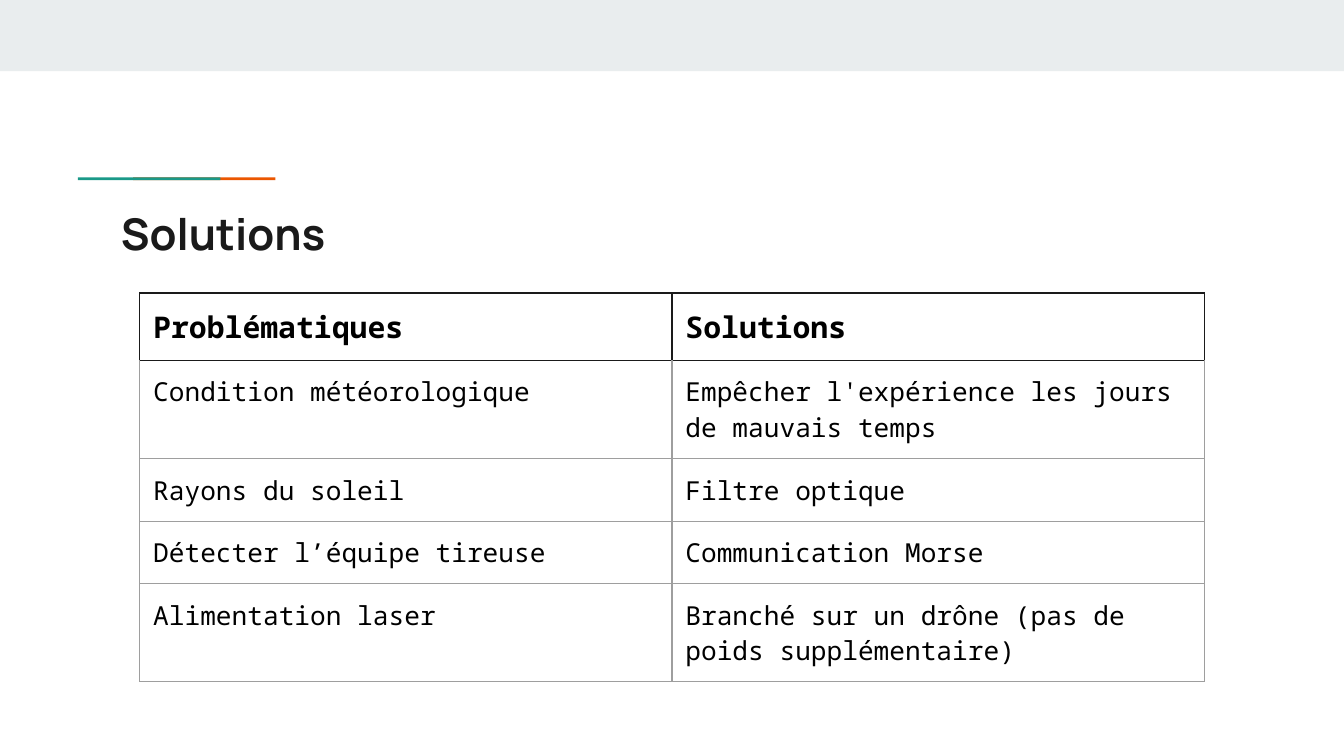
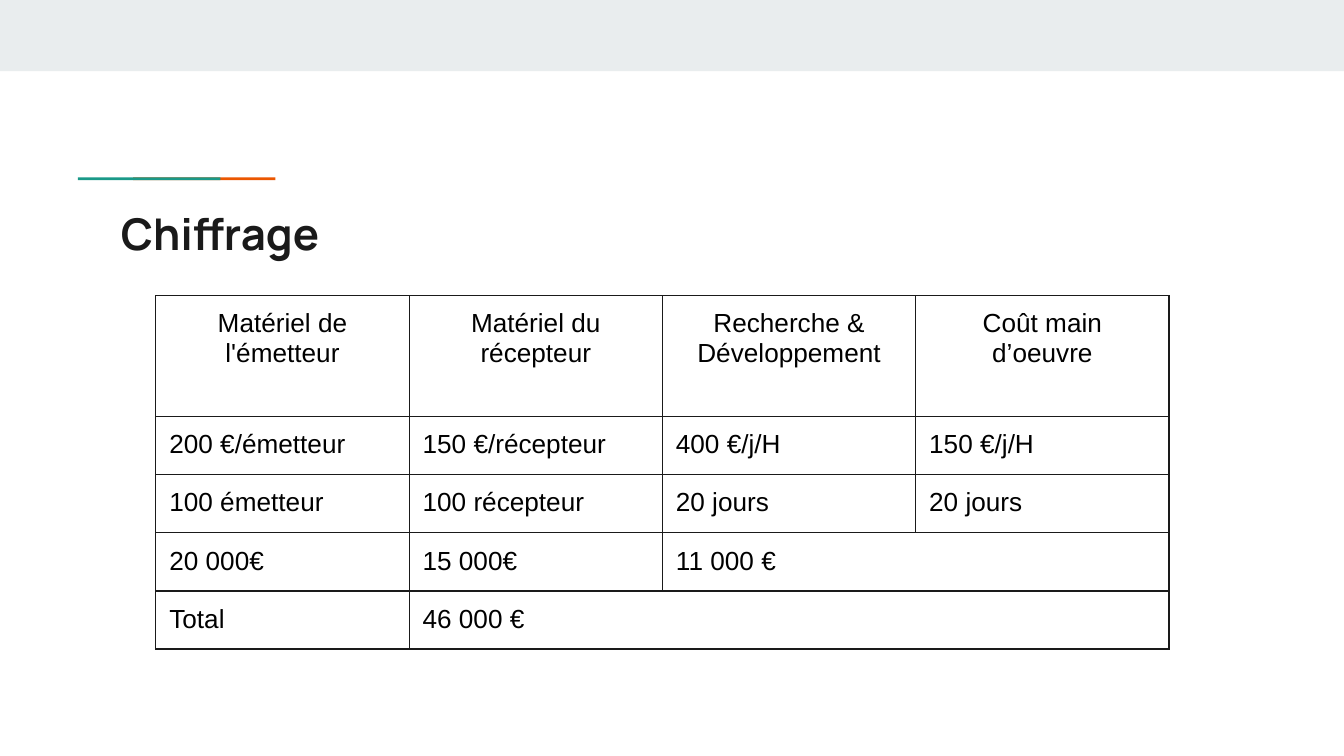
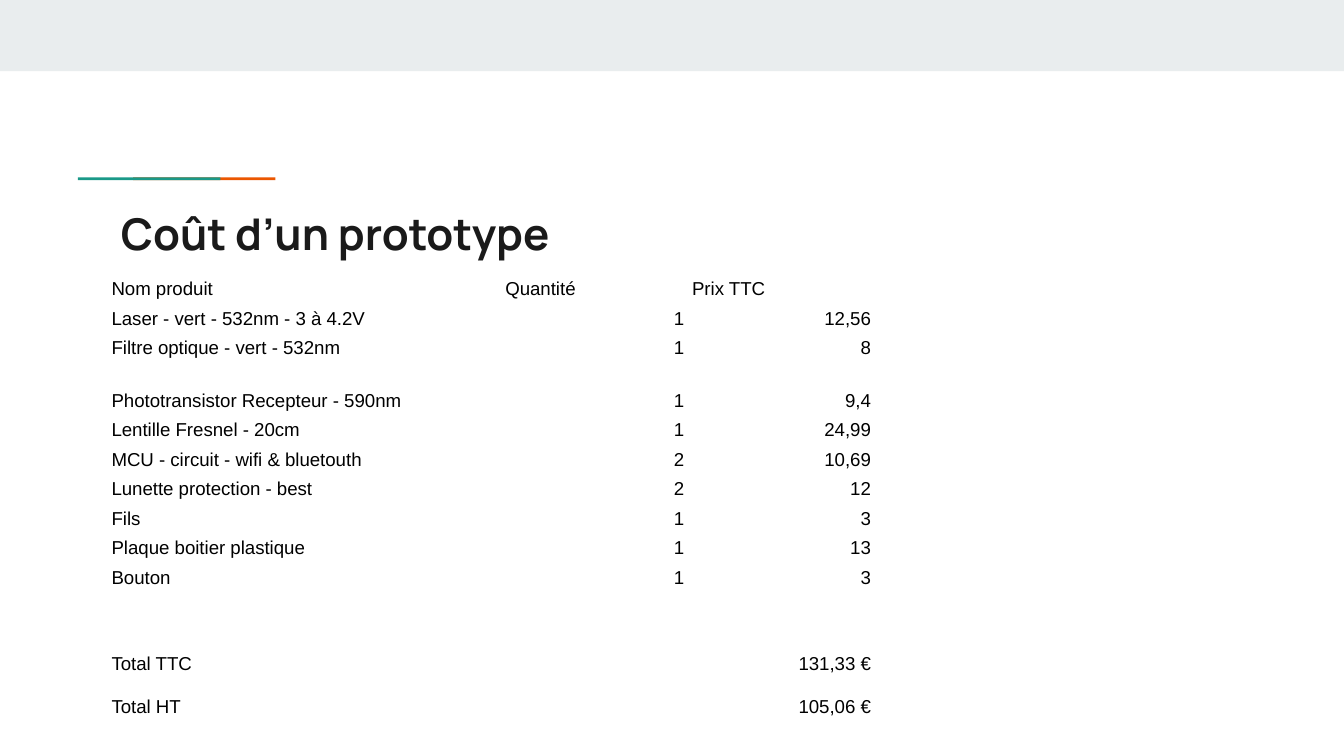
from lxml import etree
from pptx import Presentation
from pptx.dml.color import RGBColor
from pptx.enum.shapes import MSO_SHAPE
from pptx.enum.text import MSO_ANCHOR, MSO_AUTO_SIZE, PP_ALIGN
from pptx.oxml.ns import qn
from pptx.util import Inches, Pt

RECT = MSO_SHAPE.RECTANGLE
TOP, BOTTOM = MSO_ANCHOR.TOP, MSO_ANCHOR.BOTTOM
LEFT, CENTER, RIGHT = PP_ALIGN.LEFT, PP_ALIGN.CENTER, PP_ALIGN.RIGHT
NO_AUTOFIT = MSO_AUTO_SIZE.NONE

COLORS = {
    "band": "E9EDEE",
    "orange": "EB5600",
    "teal": "1A9988",
    "ink": "1A1A1A",
    "text": "000000",
    "grid": "9E9E9E",
}
PLAIN_TABLE = "{2D5ABB26-0587-4C30-8999-92F81FD0307C}"
SLIDE_BOX = (0, 0, 10, 10 * 9 / 16)
TITLE_BOX = (0.8, 1.44, 8.41, 0.59)
TITLE_FONT = {"name": "Manrope", "size": Pt(23.4), "bold": True}
MARGINS = ("margin_left", "margin_top", "margin_right", "margin_bottom")
WIDE_INSETS = dict.fromkeys(MARGINS, Inches(0.1))
TIGHT_INSETS = dict(zip(MARGINS, map(Inches, (0.03, 0.02, 0.03, 0.02))))

SOLUTIONS = [
    ("Problématiques", "Solutions"),
    ("Condition météorologique", "Empêcher l'expérience les jours de mauvais temps"),
    ("Rayons du soleil", "Filtre optique"),
    ("Détecter l’équipe tireuse", "Communication Morse"),
    ("Alimentation laser", "Branché sur un drône (pas de poids supplémentaire)"),
]
ESTIMATE = [
    ("Matériel de l'émetteur", "Matériel du récepteur",
     "Recherche & Développement", "Coût main d’oeuvre"),
    ("200 €/émetteur", "150 €/récepteur", "400 €/j/H", "150 €/j/H"),
    ("100 émetteur", "100 récepteur", "20 jours", "20 jours"),
    ("20 000€", "15 000€", "11 000 €", ""),
    ("Total", "46 000 €", "", ""),
]
PROTOTYPE = [
    ("Nom produit", "Quantité", "Prix TTC"),
    ("Laser - vert - 532nm - 3 à 4.2V", "1", "12,56"),
    ("Filtre optique - vert - 532nm", "1", "8"),
    ("Phototransistor Recepteur - 590nm", "1", "9,4"),
    ("Lentille Fresnel - 20cm", "1", "24,99"),
    ("MCU - circuit - wifi & bluetouth", "2", "10,69"),
    ("Lunette protection - best", "2", "12"),
    ("Fils", "1", "3"),
    ("Plaque boitier plastique", "1", "13"),
    ("Bouton", "1", "3"),
    ("", "", ""),
    ("Total TTC", "", "131,33 €"),
    ("Total HT", "", "105,06 €"),
]


def apply(target, values):
    for name, value in values.items():
        setattr(target, name, value)


def rgb(color):
    return RGBColor.from_string(COLORS[color])


def add_rect(slide, box, color):
    sp = slide.shapes.add_shape(RECT, *map(Inches, box))
    sp.shadow.inherit = False
    sp.fill.solid()
    sp.fill.fore_color.rgb = rgb(color)
    sp.line.fill.background()
    return sp


def move_decor_to_layout(slide, box):
    layout = slide.slide_layout
    for ph in list(layout.placeholders)[1:]:
        ph.element.getparent().remove(ph.element)
    x, y, w, _ = box
    decor = [
        ((x, y, w, 0.53), "band"),
        ((x + 0.99, y + 1.32, 1.06, 0.02), "orange"),
        ((x + 0.58, y + 1.32, 1.06, 0.02), "teal"),
    ]
    for sp in [add_rect(slide, part, color) for part, color in decor]:
        layout.shapes.element.append(sp.element)


def add_title_slide(prs, text):
    slide = prs.slides.add_slide(prs.slide_layouts.get_by_name("Title Only"))
    title = slide.shapes.title
    apply(title, dict(zip(("left", "top", "width", "height"), map(Inches, TITLE_BOX))))
    tf = title.text_frame
    tf.text = text
    apply(tf, {"word_wrap": True, "vertical_anchor": TOP,
               "auto_size": NO_AUTOFIT, **WIDE_INSETS})
    p = tf.paragraphs[0]
    p.alignment = LEFT
    apply(p.runs[0].font, TITLE_FONT)
    p.runs[0].font.color.rgb = rgb("ink")
    return slide


def set_borders(cell, top, other):
    tc_pr = cell._tc.get_or_add_tcPr()
    for side in "LRTB":
        ln = etree.SubElement(tc_pr, qn(f"a:ln{side}"), w=str(Pt(0.75)))
        fill = etree.SubElement(ln, qn("a:solidFill"))
        color = COLORS[top if side == "T" else other]
        etree.SubElement(fill, qn("a:srgbClr"), val=color)


def fill_cell(cell, text, font, align, spacing):
    cell.fill.background()
    p = cell.text_frame.paragraphs[0]
    p.alignment = align
    p.line_spacing = spacing
    if not text:
        etree.SubElement(p._p, qn("a:endParaRPr"), sz=str(int(font["size"].pt * 100)))
        return
    r = p.add_run()
    r.text = text
    apply(r.font, font)
    r.font.color.rgb = rgb("text")


def add_grid(slide, at, data, col_widths, row_heights, font, header_font=None,
             align=lambda row, col: LEFT, borders=None, insets=WIDE_INSETS,
             anchor=TOP, spacing=None):
    size = (sum(col_widths), sum(row_heights))
    frame = slide.shapes.add_table(len(data), len(col_widths), *map(Inches, at + size))
    table = frame.table
    apply(table, {"first_row": False, "horz_banding": False})
    table._tbl.tblPr.find(qn("a:tableStyleId")).text = PLAIN_TABLE
    for column, width in zip(table.columns, col_widths):
        column.width = Inches(width)
    for row, (texts, height) in enumerate(zip(data, row_heights)):
        table.rows[row].height = Inches(height)
        for col, text in enumerate(texts):
            cell = table.cell(row, col)
            apply(cell, {"vertical_anchor": anchor, **insets})
            if borders:
                set_borders(cell, borders[max(row - 1, 0)], borders[row])
            cell_font = header_font if header_font and row == 0 else font
            fill_cell(cell, text, cell_font, align(row, col), spacing)
    return table


def solutions_slide(prs):
    slide = add_title_slide(prs, "Solutions")
    mono = {"name": "Noto Sans Mono", "size": Pt(14), "bold": False}
    add_grid(slide, (1.04, 2.18), SOLUTIONS, [3.96] * 2, [0.42] * 5, mono,
             header_font={**mono, "size": Pt(16), "bold": True},
             borders=["ink"] + ["grid"] * 4)
    return slide


def estimate_slide(prs):
    slide = add_title_slide(prs, "Chiffrage")
    table = add_grid(slide, (1.16, 2.2), ESTIMATE, [7.54 / 4] * 4, [0.9] + [1.73 / 4] * 4,
                     {"name": "Arial", "size": Pt(14)},
                     align=lambda row, col: CENTER if row == 0 else LEFT,
                     borders=["ink"] * 5)
    for row, first in ((3, 2), (4, 1)):
        table.cell(row, first).merge(table.cell(row, 3))


def prototype_slide(prs):
    slide = add_title_slide(prs, "Coût d’un prototype")
    heights = [0.22] * 3 + [0.39] + [0.22] * 6 + [0.32] * 3
    add_grid(slide, (0.8, 2.03), PROTOTYPE, [2.93, 1.39, 1.39], heights,
             {"name": "Arial", "size": Pt(10)},
             align=lambda row, col: RIGHT if row and col else LEFT,
             insets=TIGHT_INSETS, anchor=BOTTOM, spacing=1.15)


def main():
    prs = Presentation()
    prs.slide_width, prs.slide_height = map(Inches, SLIDE_BOX[2:])
    move_decor_to_layout(solutions_slide(prs), SLIDE_BOX)
    estimate_slide(prs)
    prototype_slide(prs)
    prs.save("out.pptx")


if __name__ == "__main__":
    main()
